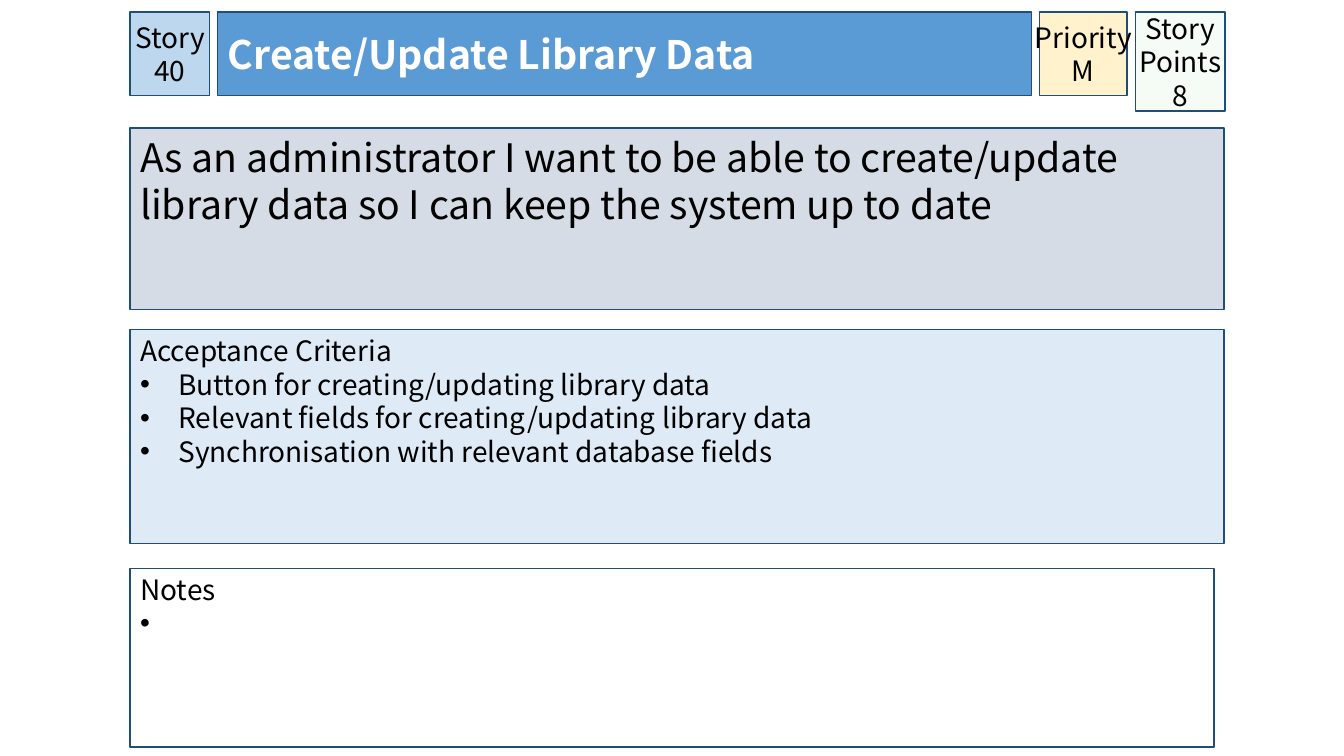
"""Build a user story card slide."""
from dataclasses import dataclass

import lxml.etree
import pptx
import pptx.dml.color
import pptx.enum.shapes
import pptx.enum.text
import pptx.oxml.ns
import pptx.util

Inches = pptx.util.Inches
ANCHOR = pptx.enum.text.MSO_ANCHOR
ALIGN = pptx.enum.text.PP_ALIGN


@dataclass(frozen=True)
class Theme:
    """Colours, font and type sizes of the card."""
    font: str = "Noto Sans CJK KR"
    large: int = 28
    normal: int = 20
    outline: str = "1F4E79"
    text: str = "000000"
    title_text: str = "FFFFFF"
    title: str = "5B9BD5"
    number: str = "BDD7EE"
    priority: str = "FFF2CC"
    points: str = "CCF0CD"
    statement: str = "D6DCE5"
    criteria: str = "DEEBF7"
    notes: str = "FFFFFF"


class StoryCard:
    """Draws the elements of a story card on one slide."""

    def __init__(self, slide, theme):
        """Keep the slide and its style."""
        self.slide = slide
        self.theme = theme

    def place(self, shape, box, fill):
        """Move a shape to its box and give it fill and outline."""
        shape.left, shape.top, shape.width, shape.height = map(Inches, box)
        shape.fill.solid()
        shape.fill.fore_color.rgb = pptx.dml.color.RGBColor.from_string(fill)
        shape.line.color.rgb = pptx.dml.color.RGBColor.from_string(self.theme.outline)
        shape.line.width = pptx.util.Pt(1)

    def set_frame(self, shape, anchor, side=0.1, top=0.05, wrap=True):
        """Set anchor, margins and wrapping of a text frame."""
        frame = shape.text_frame
        frame.auto_size = pptx.enum.text.MSO_AUTO_SIZE.NONE
        frame.word_wrap = wrap
        frame.vertical_anchor = anchor
        frame.margin_left = frame.margin_right = Inches(side)
        frame.margin_top, frame.margin_bottom = Inches(top), Inches(0.05)
        return frame

    def add_lines(self, frame, lines, size, align=ALIGN.LEFT, color=None, bold=False):
        """Add each line as a paragraph with one run."""
        for index, line in enumerate(lines):
            paragraph = frame.add_paragraph() if index else frame.paragraphs[0]
            paragraph.alignment = align
            paragraph.space_before = pptx.util.Pt(0)
            run = paragraph.add_run()
            run.text = line
            run.font.name = self.theme.font
            run.font.size = pptx.util.Pt(size)
            run.font.bold = bold
            run.font.color.rgb = pptx.dml.color.RGBColor.from_string(color or self.theme.text)

    def set_bullet(self, paragraph, indent):
        """Give a paragraph a hanging bullet, or none for a zero indent."""
        properties = paragraph._p.get_or_add_pPr()
        properties.set("marL", str(Inches(indent)))
        properties.set("indent", str(-Inches(indent)))
        name = "a:buChar" if indent else "a:buNone"
        bullet = lxml.etree.SubElement(properties, pptx.oxml.ns.qn(name))
        if indent:
            bullet.set("char", "•")

    def title(self, text, box):
        """Fill the title placeholder."""
        shape = self.slide.shapes.title
        self.place(shape, box, self.theme.title)
        frame = self.set_frame(shape, ANCHOR.MIDDLE)
        self.add_lines(frame, [text], self.theme.large, color=self.theme.title_text, bold=True)

    def bullet_list(self, index, heading, items, box, fill, indent):
        """Fill a body placeholder with a heading and bulleted items."""
        shape = self.slide.placeholders[index]
        self.place(shape, box, fill)
        frame = self.set_frame(shape, ANCHOR.TOP, top=0.04)
        self.add_lines(frame, [heading, *items], self.theme.normal)
        for position, paragraph in enumerate(frame.paragraphs):
            self.set_bullet(paragraph, indent if position else 0)

    def rectangle(self, box, fill):
        """Add a plain rectangle without shadow."""
        shape = self.slide.shapes.add_shape(
            pptx.enum.shapes.MSO_SHAPE.RECTANGLE, *map(Inches, box))
        shape.shadow.inherit = False
        self.place(shape, box, fill)
        return shape

    def badge(self, lines, box, fill, wrap=True, opacity=None):
        """Add a small centred box of the header row."""
        shape = self.rectangle(box, fill)
        if opacity is not None:
            fill_element = shape._element.spPr.find(pptx.oxml.ns.qn("a:solidFill"))
            alpha = lxml.etree.SubElement(fill_element[0], pptx.oxml.ns.qn("a:alpha"))
            alpha.set("val", str(opacity * 1000))
        frame = self.set_frame(shape, ANCHOR.MIDDLE, side=0, wrap=wrap)
        self.add_lines(frame, lines, self.theme.normal, ALIGN.CENTER)

    def statement(self, text, box):
        """Add the box with the story sentence."""
        shape = self.rectangle(box, self.theme.statement)
        frame = self.set_frame(shape, ANCHOR.TOP)
        self.add_lines(frame, [text], self.theme.large)


def main():
    """Build and save the story card."""
    presentation = pptx.Presentation()
    presentation.slide_width = Inches(13.33)
    presentation.slide_height = Inches(7.5)
    two_content = presentation.slide_layouts[3]
    slide = presentation.slides.add_slide(two_content)
    theme = Theme()
    card = StoryCard(slide, theme)

    left, width = 1.29, 10.85
    top, height, gap = 0.12, 0.83, 0.08
    header = []
    position = left
    for box_width in (0.79, 8.07, 0.87, 0.89):
        header.append((position, top, box_width, height))
        position += box_width + gap
    number_box, title_box, priority_box, points_box = header

    card.badge(["Story 40"], number_box, theme.number)
    card.title("Create/Update Library Data", title_box)
    card.statement(
        "As an administrator I want to be able to create/update library data "
        "so I can keep the system up to date", (left, 1.27, width, 1.8))
    card.bullet_list(1, "Acceptance Criteria", [
        "Button for creating/updating library data",
        "Relevant fields for creating/updating library data",
        "Synchronisation with relevant database fields",
    ], (left, 3.27, width, 2.12), theme.criteria, indent=0.38)
    card.badge(["Story Points", "8"], (*points_box[:3], 0.98), theme.points, opacity=20)
    card.badge(["Priority", "M"], priority_box, theme.priority, wrap=False)
    card.bullet_list(2, "Notes", [" "], (left, 5.64, 10.75, 1.77), theme.notes, indent=0.2)

    presentation.save("out.pptx")


main()
